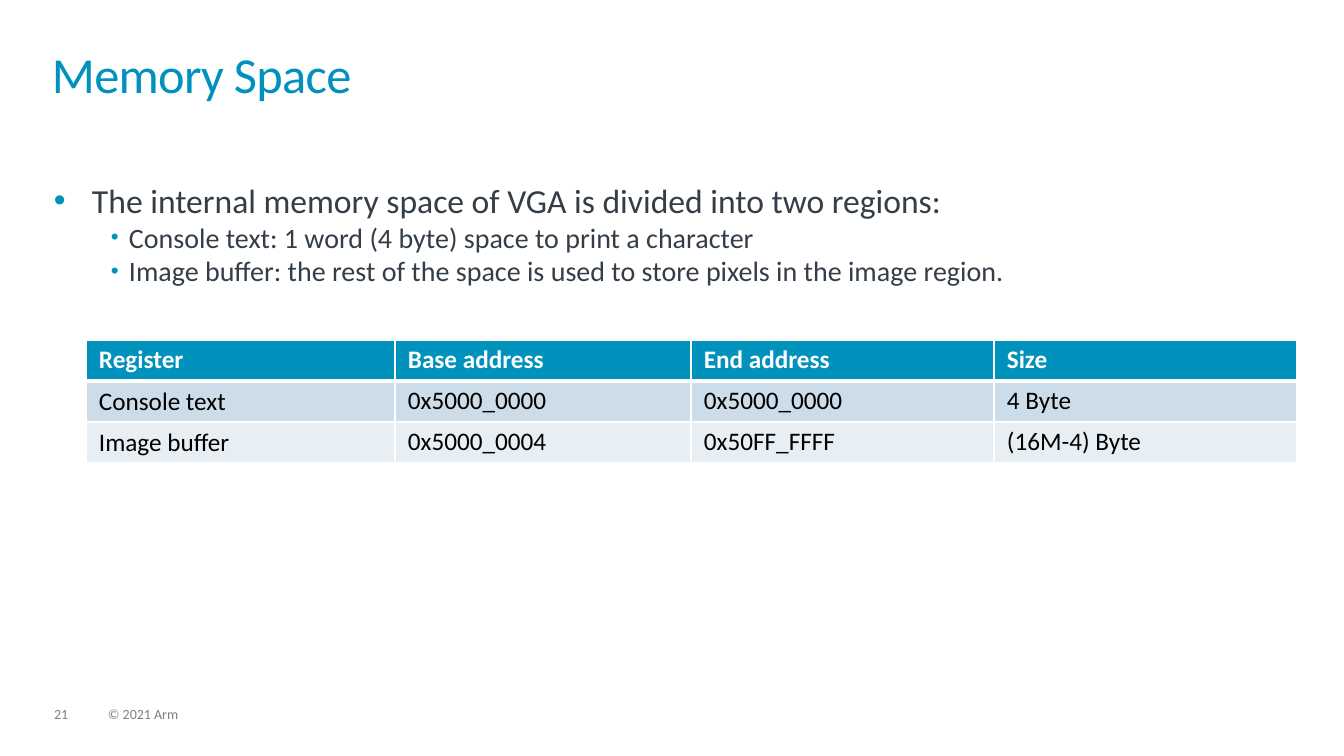
"""Build the Memory Space slide with its bullets and register table."""
from lxml.etree import SubElement
from pptx import Presentation
from pptx.dml.color import RGBColor
from pptx.enum.text import MSO_ANCHOR, PP_ALIGN
from pptx.oxml.ns import qn
from pptx.util import Pt

TITLE = "Memory Space"
POINTS = [
    (0, "The internal memory space of VGA is divided into two regions:"),
    (1, "Console text: 1 word (4 byte) space to print a character"),
    (1, "Image buffer: the rest of the space is used to store pixels in the image region."),
]
REGISTERS = [
    ("Register", "Base address", "End address", "Size"),
    ("Console text", "0x5000_0000", "0x5000_0000", "4 Byte"),
    ("Image buffer", "0x5000_0004", "0x50FF_FFFF", "(16M-4) Byte"),
]
FOOTERS = [("21", 54, 34), ("© 2021 Arm", 108, 511)]

PX = 914400 / 100.8
FONT = "Calibri"
BLUE = RGBColor(0x00, 0x91, 0xBD)
SLATE = RGBColor(0x33, 0x3E, 0x48)
GREY = RGBColor(0x7F, 0x7F, 0x7F)
WHITE = RGBColor(0xFF, 0xFF, 0xFF)
BLACK = RGBColor(0x00, 0x00, 0x00)
ROW_FILLS = [BLUE, RGBColor(0xCC, 0xDC, 0xE8), RGBColor(0xE7, 0xEE, 0xF4)]
LEVELS = [(38, -38, 100, 24), (75, -18, 80, 20)]
COLUMNS = [309, 296, 303, 303]
ROW_HEIGHT = 41


def px(length):
    return round(length * PX)


def style(paragraph, size, color, bold=False):
    for run in paragraph.runs:
        run.font.name = FONT
        run.font.size = Pt(size)
        run.font.color.rgb = color
        run.font.bold = bold


def clear_insets(frame):
    frame.margin_left = frame.margin_top = frame.margin_right = frame.margin_bottom = 0
    frame.word_wrap = True
    frame.vertical_anchor = MSO_ANCHOR.TOP


def add_text(slide, left, top, width, height):
    frame = slide.shapes.add_textbox(px(left), px(top), px(width), px(height)).text_frame
    clear_insets(frame)
    return frame


def add_bullet(paragraph, indent, hanging, percent):
    props = paragraph._p.get_or_add_pPr()
    props.set("marL", str(px(indent)))
    props.set("indent", str(px(hanging)))
    SubElement(SubElement(props, qn("a:buClr")), qn("a:srgbClr"), val=str(BLUE))
    SubElement(props, qn("a:buSzPct"), val=str(percent * 1000))
    SubElement(props, qn("a:buFont"), typeface="Arial")
    SubElement(props, qn("a:buChar"), char="•")


def add_borders(cell, widths):
    props = cell._tc.get_or_add_tcPr()
    for side, width in zip("LRTB", widths):
        line = SubElement(props, qn(f"a:ln{side}"), w=str(Pt(width)))
        SubElement(SubElement(line, qn("a:solidFill")), qn("a:srgbClr"), val=str(WHITE))


def add_title(slide):
    title = slide.shapes.title
    title.left, title.top, title.width, title.height = px(52), px(52), px(1238), px(73)
    frame = title.text_frame
    frame.text = TITLE
    clear_insets(frame)
    heading = frame.paragraphs[0]
    heading.alignment = PP_ALIGN.LEFT
    heading.line_spacing = 0.85
    style(heading, 36, BLUE)
    heading.runs[0].font._element.set("spc", "-50")


def add_points(slide):
    frame = add_text(slide, 54, 180, 1233, 156)
    for index, (level, text) in enumerate(POINTS):
        point = frame.add_paragraph() if index else frame.paragraphs[0]
        indent, hanging, percent, size = LEVELS[level]
        point.text = text
        point.level = level
        add_bullet(point, indent, hanging, percent)
        style(point, size, SLATE)


def add_registers(slide):
    table = slide.shapes.add_table(
        len(REGISTERS), len(COLUMNS), px(86), px(340),
        px(sum(COLUMNS)), px(ROW_HEIGHT * len(REGISTERS))).table
    for column, width in zip(table.columns, COLUMNS):
        column.width = px(width)
    for row_index, values in enumerate(REGISTERS):
        header = row_index == 0
        table.rows[row_index].height = px(ROW_HEIGHT)
        for column_index, value in enumerate(values):
            cell = table.cell(row_index, column_index)
            cell.text = value
            cell.margin_left = cell.margin_right = px(13)
            cell.margin_top = cell.margin_bottom = px(5)
            if column_index == 0 and not header:
                cell.vertical_anchor = MSO_ANCHOR.MIDDLE
            add_borders(cell, (1, 1, 3 if row_index == 1 else 1, 3 if header else 1))
            cell.fill.solid()
            cell.fill.fore_color.rgb = ROW_FILLS[row_index]
            style(cell.text_frame.paragraphs[0], 18, WHITE if header else BLACK, header)


def add_footers(slide):
    for text, left, width in FOOTERS:
        frame = add_text(slide, left, 707, width, 15)
        frame.text = text
        footer = frame.paragraphs[0]
        footer.line_spacing = 0.9
        style(footer, 10, GREY)


def main():
    deck = Presentation()
    deck.slide_width, deck.slide_height = px(1344), px(756)
    slide = deck.slides.add_slide(deck.slide_layouts[5])
    add_title(slide)
    add_points(slide)
    add_registers(slide)
    add_footers(slide)
    deck.save("out.pptx")


if __name__ == "__main__":
    main()
